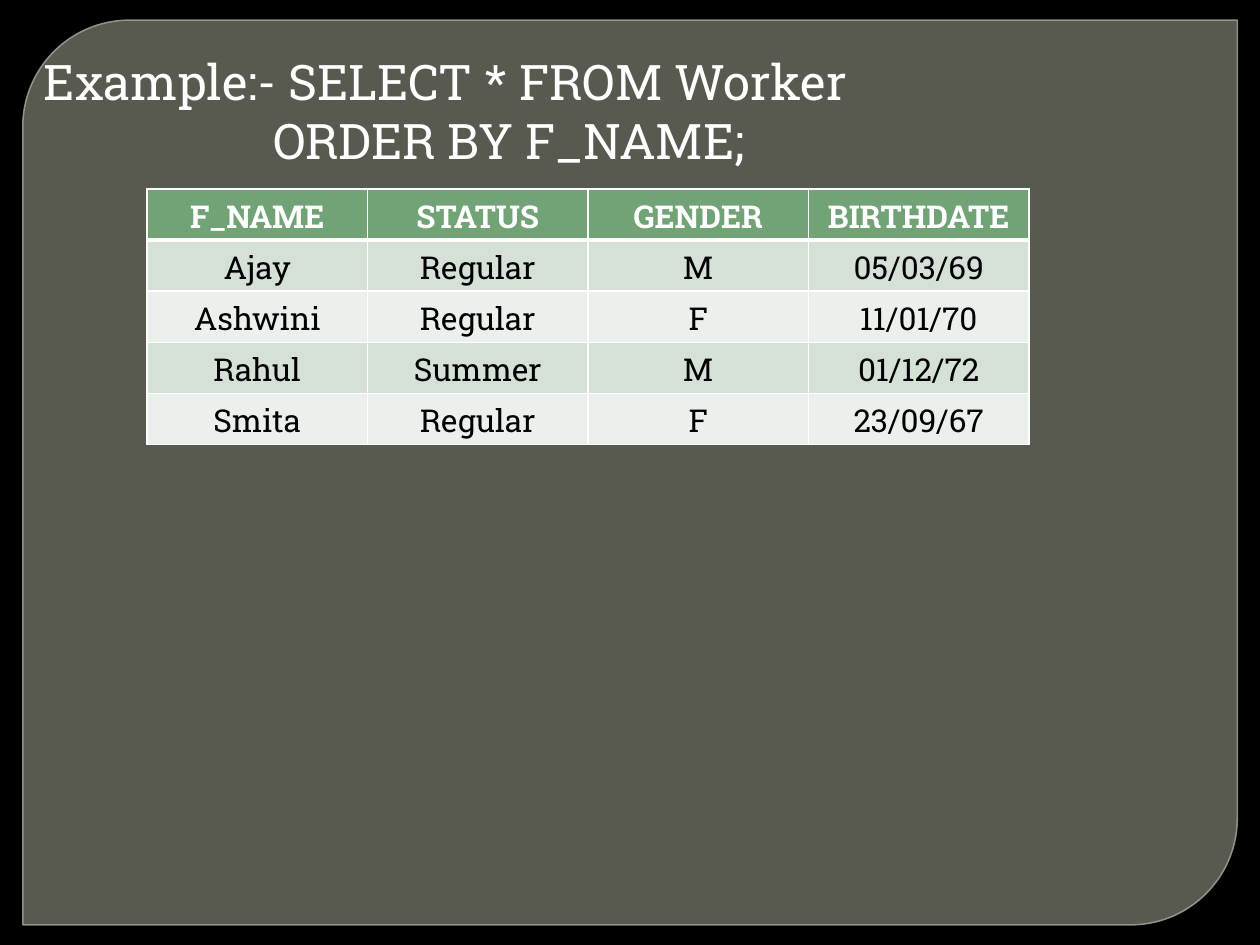
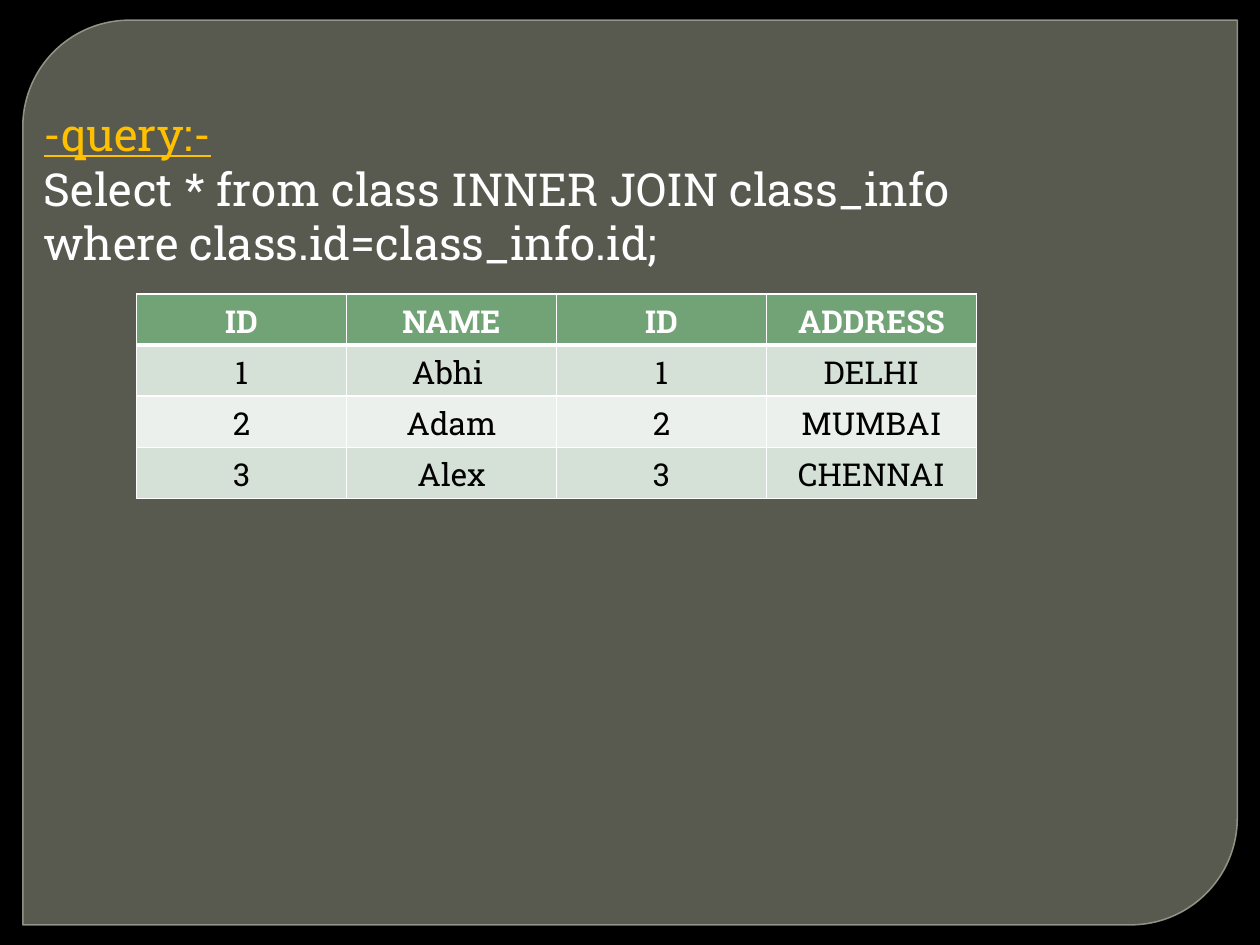
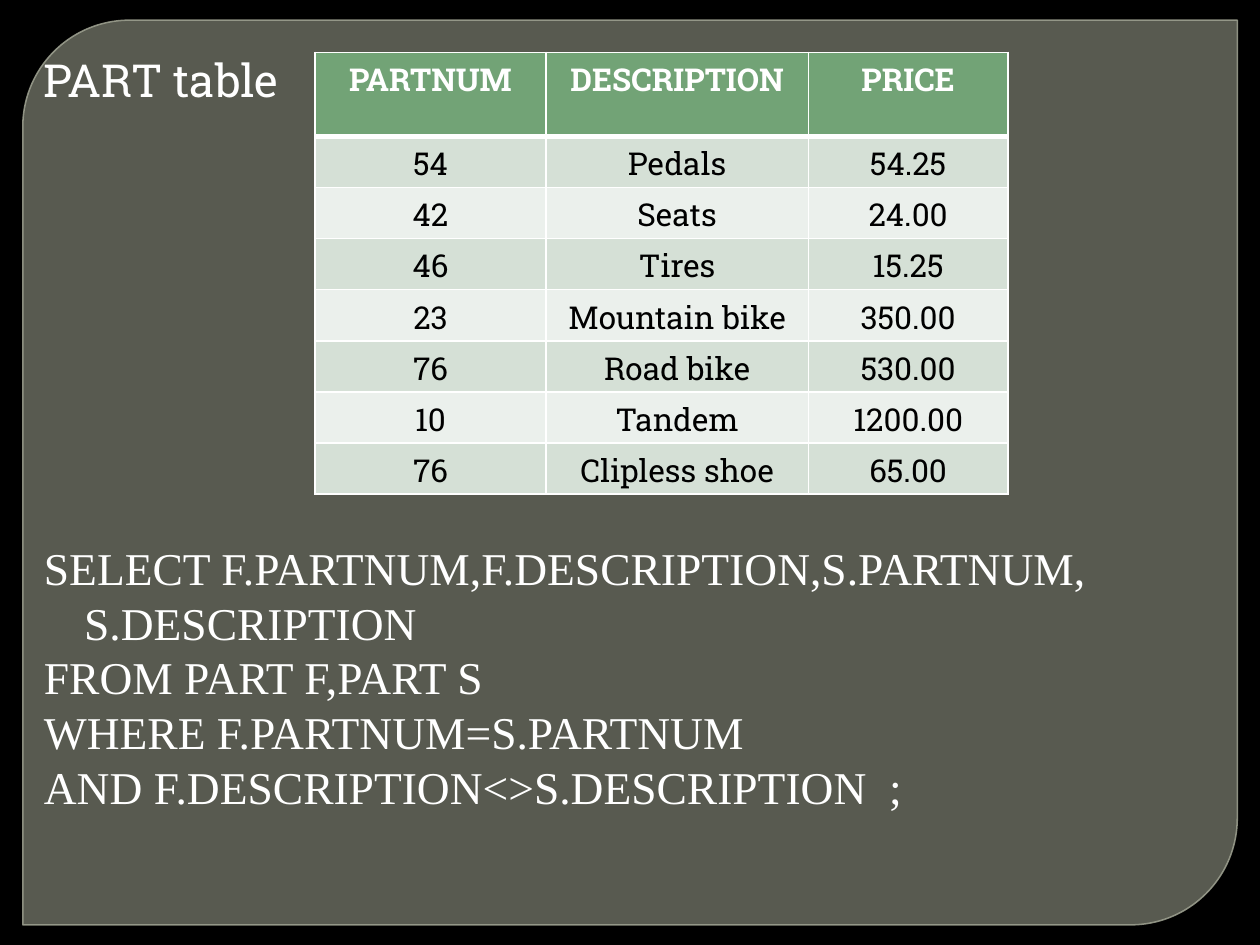
from pptx import Presentation
from pptx import util as u
from pptx.dml.color import RGBColor
from pptx.enum import shapes, text
from pptx.oxml.ns import qn
from lxml import etree

COLORS = {
    "backdrop": "000000", "panel": "888B7B", "panel_edge": "9DA090",
    "text": "FFFFFF", "accent": "FFC000", "cell_text": "000000",
    "header": "72A376", "band_dark": "D5E0D6", "band_light": "EBF0EC",
    "rule": "FFFFFF",
}
SLAB, SERIF = "Roboto Slab", "Times New Roman"
HANGING = 23          # hanging indent of body text
LEADING = 1.2         # line pitch as a multiple of the text size
ROW_HEIGHT = 29.2


def rgb(name):
    return RGBColor.from_string(COLORS[name])


class Deck:
    """Holds the shared style and the slide being built."""

    def __init__(self):
        self.prs = Presentation()
        self.prs.slide_width, self.prs.slide_height = u.Pt(720), u.Pt(540)
        self.slide = None

    def new_slide(self):
        self.slide = self.prs.slides.add_slide(self.prs.slide_layouts[6])
        backdrop = self.slide.background.fill
        backdrop.solid()
        backdrop.fore_color.rgb = rgb("backdrop")
        self.panel()

    def panel(self):
        panel = self.slide.shapes.add_shape(
            shapes.MSO_SHAPE.ROUND_2_DIAG_RECTANGLE,
            u.Pt(13), u.Pt(11.5), u.Pt(694), u.Pt(517))
        panel.adjustments[0], panel.adjustments[1] = 0.118, 0
        panel.shadow.inherit = False
        panel.fill.solid()
        panel.fill.fore_color.rgb = rgb("panel")
        panel.line.fill.solid()
        panel.line.color.rgb = rgb("panel_edge")
        panel.line.width = u.Pt(0.87)
        # Transparency: first colour is the fill, second the outline
        tints = panel._element.spPr.iter(qn("a:srgbClr"))
        for tint, percent in zip(tints, (65, 88)):
            etree.SubElement(tint, qn("a:alpha"), val=str(percent * 1000))

    def body(self, lines, size, top_gap=0):
        """Each line is (wording, options): font, color, underline, left, before."""
        box = self.slide.shapes.add_textbox(
            u.Pt(18), u.Pt(24), u.Pt(702), u.Pt(534))
        frame = box.text_frame
        frame.word_wrap = True
        frame.vertical_anchor = text.MSO_ANCHOR.TOP
        frame.margin_top = u.Pt(5.5 + top_gap)
        for i, (wording, options) in enumerate(lines):
            para = frame.add_paragraph() if i else frame.paragraphs[0]
            para.text = wording
            para.line_spacing = u.Pt(size * LEADING)
            para.space_before = u.Pt(options.get("before", 0))
            left = options.get("left", HANGING)
            props = para._p.get_or_add_pPr()
            props.set("marL", str(u.Pt(left)))
            props.set("indent", str(u.Pt(-HANGING)))
            font = para.font
            font.name, font.size = options.get("font", SLAB), u.Pt(size)
            font.color.rgb = rgb(options.get("color", "text"))
            font.underline = options.get("underline", False)

    def table(self, left, top, widths, rows, header_height=ROW_HEIGHT):
        heights = [header_height] + [ROW_HEIGHT] * (len(rows) - 1)
        grid = self.slide.shapes.add_table(
            len(rows), len(widths), u.Pt(left), u.Pt(top),
            u.Pt(sum(widths)), u.Pt(sum(heights))).table
        grid.horz_banding = False
        for column, width in zip(grid.columns, widths):
            column.width = u.Pt(width)
        for r, (row, height) in enumerate(zip(rows, heights)):
            grid.rows[r].height = u.Pt(height)
            for c, wording in enumerate(row):
                self.cell(grid.cell(r, c), wording, r)

    def cell(self, cell, wording, row):
        is_header = row == 0
        self.borders(cell, top=3 if row == 1 else 1, bottom=3 if is_header else 1)
        cell.fill.solid()
        band = "band_dark" if row % 2 else "band_light"
        cell.fill.fore_color.rgb = rgb("header" if is_header else band)
        para = cell.text_frame.paragraphs[0]
        para.text = wording
        para.alignment = text.PP_ALIGN.CENTER
        font = para.font
        font.name, font.size, font.bold = SLAB, u.Pt(18), is_header
        font.color.rgb = rgb("text" if is_header else "cell_text")

    def borders(self, cell, top, bottom):
        props = cell._tc.get_or_add_tcPr()
        for side, width in (("L", 1), ("R", 1), ("T", top), ("B", bottom)):
            edge = etree.SubElement(props, qn("a:ln" + side), w=str(u.Pt(width)))
            paint = etree.SubElement(edge, qn("a:solidFill"))
            etree.SubElement(paint, qn("a:srgbClr"), val=COLORS["rule"])


deck = Deck()

# Slide 1: sorting with ORDER BY
deck.new_slide()
deck.body([
    ("Example:- SELECT * FROM Worker", {}),
    ("ORDER BY F_NAME;", {"left": 131 + HANGING}),
], size=28)
deck.table(84, 108, [126] * 4, [
    ("F_NAME", "STATUS", "GENDER", "BIRTHDATE"),
    ("Ajay", "Regular", "M", "05/03/69"),
    ("Ashwini", "Regular", "F", "11/01/70"),
    ("Rahul", "Summer", "M", "01/12/72"),
    ("Smita", "Regular", "F", "23/09/67"),
])

# Slide 2: inner join
deck.new_slide()
deck.body([
    ("-query:-", {"color": "accent", "underline": True}),
    ("Select * from class INNER JOIN class_info", {}),
    ("where class.id=class_info.id;", {}),
], size=26, top_gap=26 * LEADING)
deck.table(78, 168, [120] * 4, [
    ("ID", "NAME", "ID", "ADDRESS"),
    ("1", "Abhi ", "1", "DELHI"),
    ("2", "Adam", "2", "MUMBAI"),
    ("3", "Alex", "3", "CHENNAI"),
])

# Slide 3: self join on the PART table
deck.new_slide()
deck.body([
    ("PART table", {}),
    ("SELECT F.PARTNUM,F.DESCRIPTION,S.PARTNUM, S.DESCRIPTION",
     {"font": SERIF, "before": 248}),
    ("FROM PART F,PART S", {"font": SERIF}),
    ("WHERE F.PARTNUM=S.PARTNUM", {"font": SERIF}),
    ("AND F.DESCRIPTION<>S.DESCRIPTION  ;", {"font": SERIF}),
], size=26)
deck.table(180, 30, [132, 150, 114], [
    ("PARTNUM", "DESCRIPTION", "PRICE"),
    ("54", "Pedals", "54.25"),
    ("42", "Seats", "24.00"),
    ("46", "Tires", "15.25"),
    ("23", "Mountain bike", "350.00"),
    ("76", "Road bike", "530.00"),
    ("10", "Tandem", "1200.00"),
    ("76", "Clipless shoe", "65.00"),
], header_height=48)

deck.prs.save("out.pptx")
